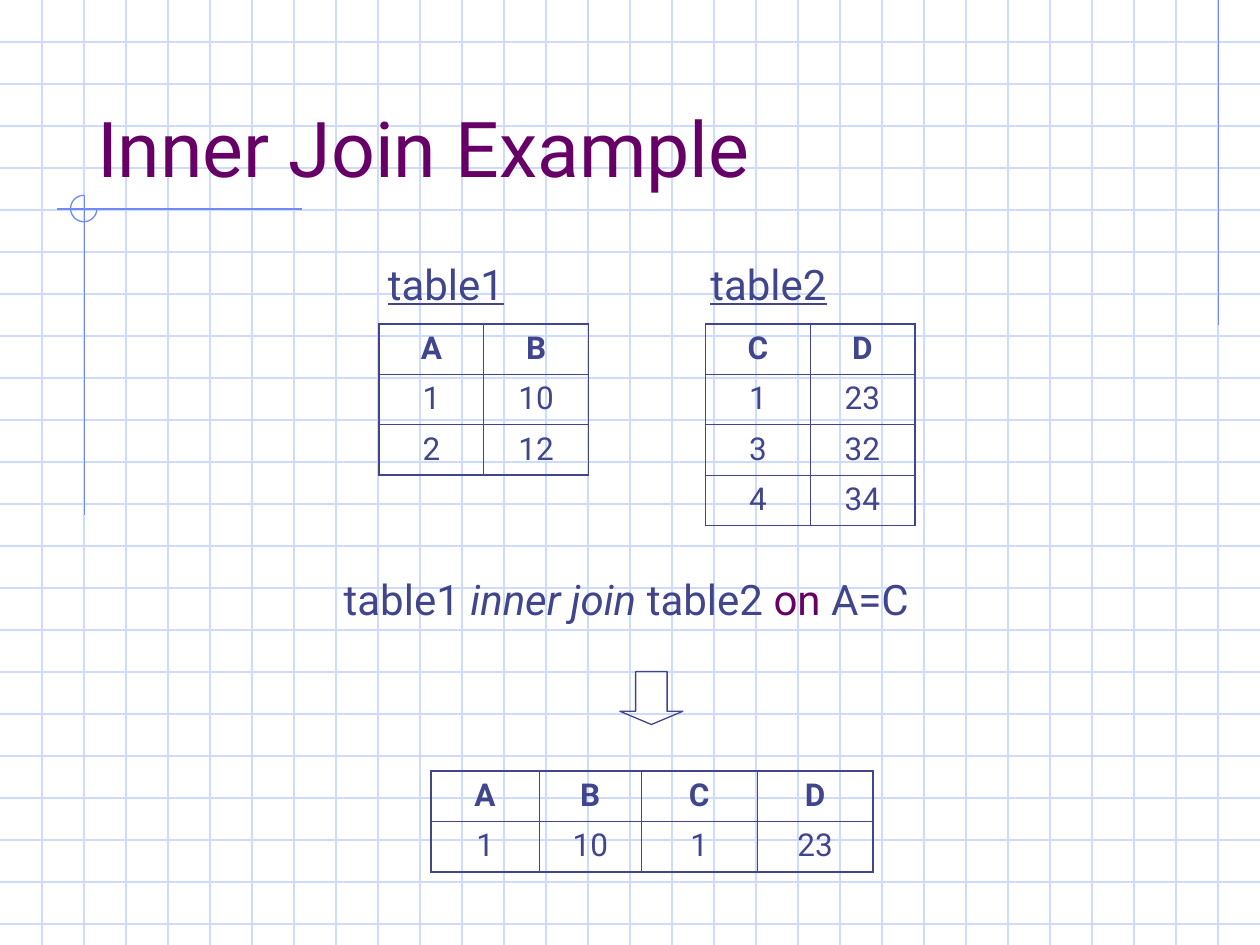
from dataclasses import dataclass

from lxml.etree import SubElement
from pptx import Presentation
from pptx.dml.color import RGBColor
from pptx.enum.shapes import MSO_CONNECTOR, MSO_SHAPE
from pptx.enum.text import MSO_ANCHOR, MSO_AUTO_SIZE, PP_ALIGN
from pptx.oxml.ns import qn
from pptx.oxml.xmlchemy import OxmlElement
from pptx.util import Inches, Pt

FONT = "Roboto"
INK = "40458C"
PURPLE = "660066"
GRID = "CFDBFD"
ACCENT = "6F89F7"
WIDTH, HEIGHT = 10, 7.5
ROW_HEIGHT = 0.4
OUTER, INNER = 1.08, 0.45


@dataclass
class Words:
    text: str
    color: str = INK
    italic: bool = False
    underline: bool = False


@dataclass
class Caption:
    left: float
    top: float
    width: float
    words: list[Words]


@dataclass
class Relation:
    left: float
    top: float
    columns: list[float]
    rows: list[list[str]]


CAPTIONS = [
    Caption(2.98, 2, 1.17, [Words("table1", underline=True)]),
    Caption(5.54, 2, 1.17, [Words("table2", underline=True)]),
    Caption(2.63, 4.5, 4.93, [
        Words("table1 "),
        Words("inner join", italic=True),
        Words(" table2 "),
        Words("on", color=PURPLE),
        Words(" A=C"),
    ]),
]

RELATIONS = [
    Relation(3.01, 2.57, [0.83, 0.83], [["A", "B"], ["1", "10"], ["2", "12"]]),
    Relation(5.6, 2.57, [0.83, 0.83],
             [["C", "D"], ["1", "23"], ["3", "32"], ["4", "34"]]),
    Relation(3.42, 6.12, [0.86, 0.81, 0.92, 0.92],
             [["A", "B", "C", "D"], ["1", "10", "1", "23"]]),
]


def rgb(color: str) -> RGBColor:
    return RGBColor.from_string(color)


def add_run(paragraph, words: Words, size: float, bold: bool = False) -> None:
    run = paragraph.add_run()
    run.text = words.text
    run.font.name = FONT
    run.font.size = Pt(size)
    run.font.bold = bold
    run.font.italic = words.italic
    run.font.underline = words.underline
    run.font.color.rgb = rgb(words.color)


def add_line(slide, x1: float, y1: float, x2: float, y2: float, color: str) -> None:
    line = slide.shapes.add_connector(
        MSO_CONNECTOR.STRAIGHT, Inches(x1), Inches(y1), Inches(x2), Inches(y2))
    line.line.color.rgb = rgb(color)
    line.line.width = Pt(0.75)
    SubElement(line._element.spPr, qn("a:effectLst"))


def add_outline(slide, preset, left: float, top: float, width: float,
                height: float, color: str, adjustments: list[float]) -> None:
    shape = slide.shapes.add_shape(
        preset, Inches(left), Inches(top), Inches(width), Inches(height))
    shape.shadow.inherit = False
    shape.fill.background()
    shape.line.color.rgb = rgb(color)
    shape.line.width = Pt(0.75)
    for index, value in enumerate(adjustments):
        shape.adjustments[index] = value


def add_backdrop(slide) -> None:
    for step in range(1, 23):
        add_line(slide, 0, step / 3, WIDTH, step / 3, GRID)
    for step in range(1, 30):
        add_line(slide, step / 3, 0, step / 3, HEIGHT, GRID)
    add_line(slide, 9.67, 0, 9.67, 2.58, ACCENT)
    add_line(slide, 2.4, 1.66, 0.45, 1.66, ACCENT)
    add_line(slide, 0.67, 1.55, 0.67, 4.09, ACCENT)
    add_outline(slide, MSO_SHAPE.ARC, 0.56, 1.55, 0.21, 0.21, ACCENT, [0, 162])


def set_title(slide, text: str) -> None:
    title = slide.shapes.title
    title.left, title.top = Inches(0.67), Inches(0.33)
    title.width, title.height = Inches(8.5), Inches(1.25)
    frame = title.text_frame
    frame.auto_size = MSO_AUTO_SIZE.NONE
    frame.vertical_anchor = MSO_ANCHOR.BOTTOM
    frame.paragraphs[0].alignment = PP_ALIGN.LEFT
    add_run(frame.paragraphs[0], Words(text, color=PURPLE), 44)
    slide.shapes._spTree.append(title._element)


def add_caption(slide, caption: Caption) -> None:
    box = slide.shapes.add_textbox(
        Inches(caption.left), Inches(caption.top), Inches(caption.width), Inches(0.5))
    frame = box.text_frame
    frame.word_wrap = False
    frame.auto_size = MSO_AUTO_SIZE.SHAPE_TO_FIT_TEXT
    for words in caption.words:
        add_run(frame.paragraphs[0], words, 24)


def set_borders(cell, widths: dict[str, float]) -> None:
    properties = cell._tc.get_or_add_tcPr()
    for index, (side, width) in enumerate(widths.items()):
        border = OxmlElement(f"a:ln{side}")
        border.set("w", str(Pt(width)))
        fill = SubElement(border, qn("a:solidFill"))
        SubElement(fill, qn("a:srgbClr")).set("val", INK)
        properties.insert(index, border)


def add_relation(slide, relation: Relation) -> None:
    row_count, column_count = len(relation.rows), len(relation.columns)
    table = slide.shapes.add_table(
        row_count, column_count, Inches(relation.left), Inches(relation.top),
        Inches(sum(relation.columns)), Inches(ROW_HEIGHT * row_count)).table
    table.first_row = False
    table.horz_banding = False
    for column, width in zip(table.columns, relation.columns):
        column.width = Inches(width)
    for r, values in enumerate(relation.rows):
        table.rows[r].height = Inches(ROW_HEIGHT)
        for c, value in enumerate(values):
            cell = table.cell(r, c)
            cell.fill.background()
            paragraph = cell.text_frame.paragraphs[0]
            paragraph.alignment = PP_ALIGN.CENTER
            add_run(paragraph, Words(value), 18, bold=r == 0)
            set_borders(cell, {
                "L": OUTER if c == 0 else INNER,
                "R": OUTER if c == column_count - 1 else INNER,
                "T": OUTER if r == 0 else INNER,
                "B": OUTER if r == row_count - 1 else INNER,
            })


def main() -> None:
    presentation = Presentation()
    presentation.slide_width = Inches(WIDTH)
    presentation.slide_height = Inches(HEIGHT)
    slide = presentation.slides.add_slide(presentation.slide_layouts[5])
    slide.background.fill.solid()
    slide.background.fill.fore_color.rgb = rgb("FFFFFF")
    add_backdrop(slide)
    set_title(slide, "Inner Join Example")
    for relation in RELATIONS:
        add_relation(slide, relation)
    for caption in CAPTIONS:
        add_caption(slide, caption)
    add_outline(slide, MSO_SHAPE.DOWN_ARROW, 4.92, 5.33, 0.5, 0.42, INK, [0.5, 0.25])
    presentation.save("out.pptx")


if __name__ == "__main__":
    main()
